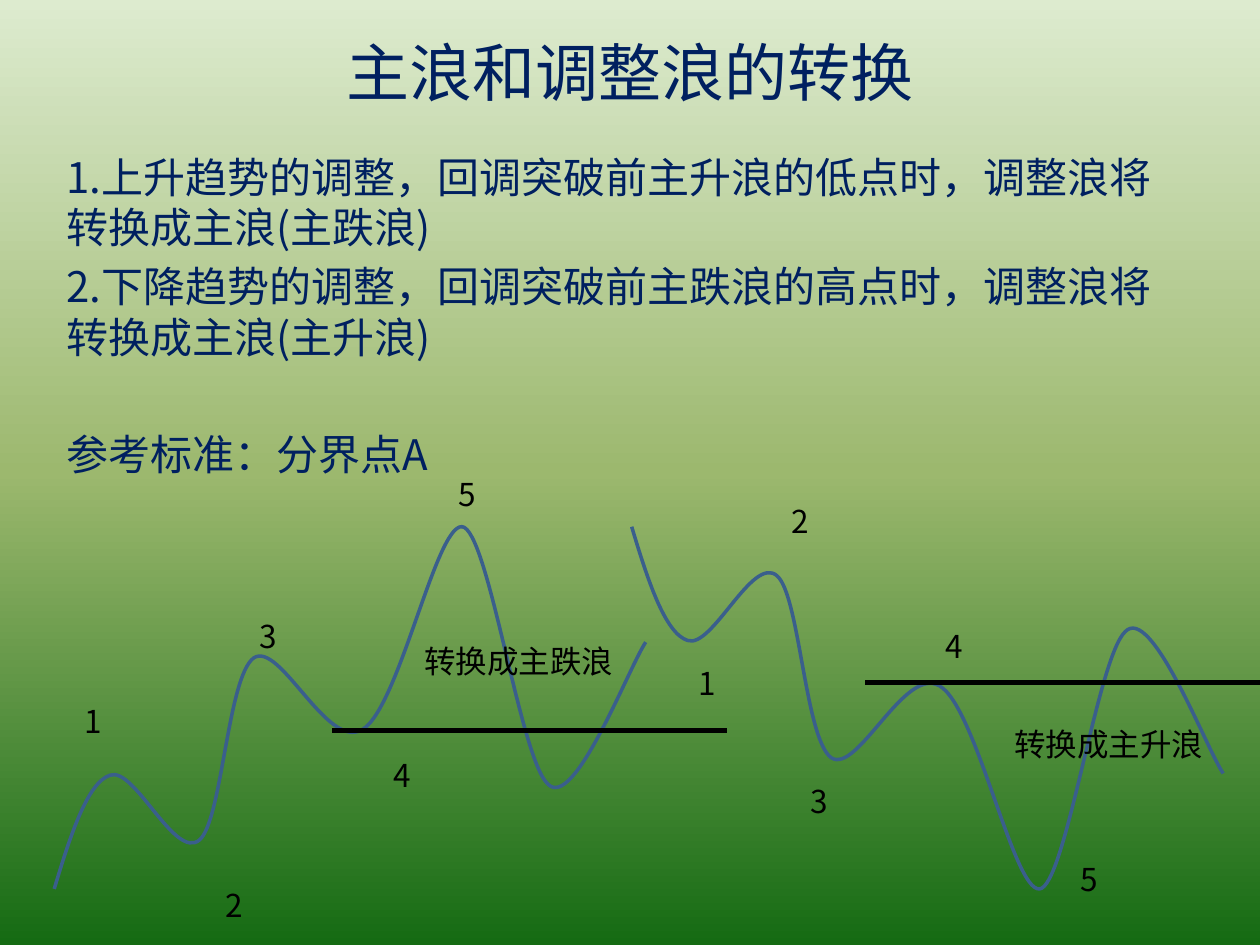
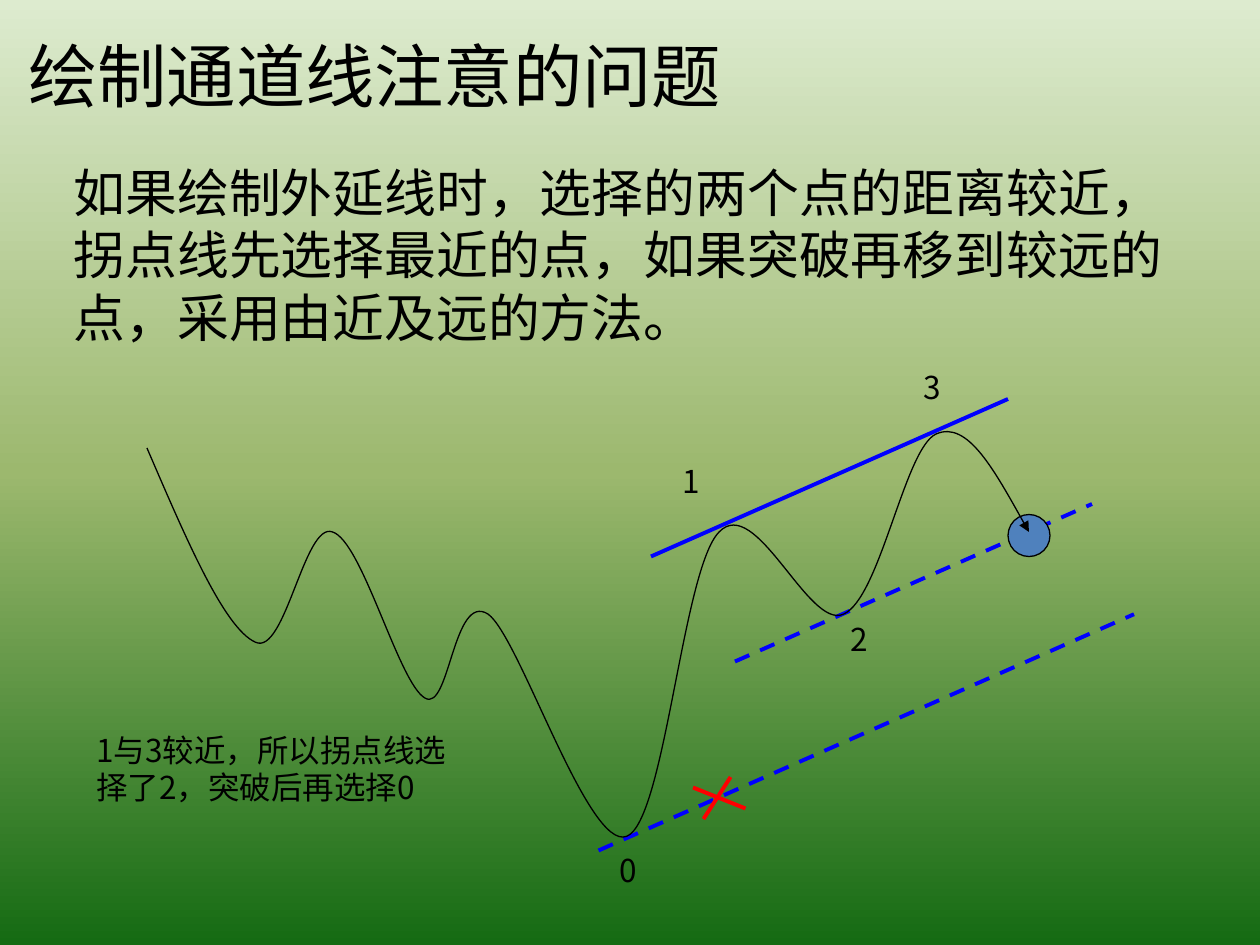
import pptx
import pptx.dml.color
import pptx.enum.dml
import pptx.enum.shapes
import pptx.enum.text
import pptx.oxml.ns
import pptx.util
from lxml import etree

Pt = pptx.util.Pt
qn = pptx.oxml.ns.qn
RGB = pptx.dml.color.RGBColor.from_string
ALIGN = pptx.enum.text.PP_ALIGN
ANCHOR = pptx.enum.text.MSO_ANCHOR

FONT = "Noto Sans CJK SC"
COLORS = {
    "navy": "002060",
    "black": "000000",
    "wave": "3A5F8C",
    "channel": "0000FF",
    "cross": "FF0000",
    "target": "4F81BD",
}
BACKGROUND_STOPS = [(0, "DDEBCF"), (50, "9CB86E"), (100, "156B13")]


def add_text(slide, box, paragraphs, size=18, color="black", wrap=False,
             align=ALIGN.LEFT, anchor=ANCHOR.TOP):
    """Add a text box; paragraphs is a list of (text, space before in points)."""
    shape = slide.shapes.add_textbox(*[Pt(length) for length in box])
    frame = shape.text_frame
    frame.word_wrap = wrap
    frame.vertical_anchor = anchor
    frame.text = "\n".join(text for text, _ in paragraphs)
    for paragraph, (_, space_before) in zip(frame.paragraphs, paragraphs):
        paragraph.alignment = align
        paragraph.line_spacing = Pt(1.2 * size)
        paragraph.space_before = Pt(space_before)
        for run in paragraph.runs:
            run.font.name = FONT
            run.font.size = Pt(size)
            run.font.color.rgb = RGB(COLORS[color])
            east_asian = etree.SubElement(run.font._element, qn("a:ea"))
            east_asian.set("typeface", FONT)


def add_wave(slide, points, color, width):
    """Draw a Bezier curve: a start point, then three points for each segment."""
    builder = slide.shapes.build_freeform(*points[0], scale=Pt(1))
    builder.add_line_segments(points[1:], close=False)
    shape = builder.convert_to_shape()
    shape.shadow.inherit = False
    shape.fill.background()
    shape.line.color.rgb = RGB(COLORS[color])
    shape.line.width = Pt(width)
    outline = shape._element.find(".//" + qn("a:path"))
    corners = outline.findall(qn("a:lnTo"))
    for start in range(0, len(corners), 3):
        curve = etree.SubElement(outline, qn("a:cubicBezTo"))
        for corner in corners[start:start + 3]:
            curve.append(corner[0])
            outline.remove(corner)
    return shape


presentation = pptx.Presentation()
presentation.slide_width = Pt(720)
presentation.slide_height = Pt(540)

# Both slides share the green gradient
for _ in range(2):
    slide = presentation.slides.add_slide(presentation.slide_layouts[6])
    fill = slide.background.fill
    fill.gradient()
    fill.gradient_angle = 270
    stops = slide._element.find(".//" + qn("a:gsLst"))
    for stop in list(stops):
        stops.remove(stop)
    for position, color in BACKGROUND_STOPS:
        stop = etree.SubElement(stops, qn("a:gs"), pos=str(position * 1000))
        etree.SubElement(stop, qn("a:srgbClr"), val=color)
conversion_slide, channel_slide = presentation.slides

# Slide 1: how a correction turns into a main wave
add_text(conversion_slide, (36, 21.5, 648, 39), [("主浪和调整浪的转换", 0)],
         36, "navy", True, ALIGN.CENTER, ANCHOR.MIDDLE)
add_text(conversion_slide, (31, 83, 658, 209.5), [
    ("1.上升趋势的调整，回调突破前主升浪的低点时，调整浪将转换成主浪(主跌浪)", 0),
    ("2.下降趋势的调整，回调突破前主跌浪的高点时，调整浪将转换成主浪(主升浪)", 4.8),
    ("参考标准：分界点A", 38.4),
], 24, "navy", True)

rising_wave = [
    (31, 508),
    (40, 478), (50, 447), (63, 443),
    (77, 438), (100, 492), (114, 480),
    (127, 469), (130, 387), (145, 376),
    (160, 366), (187, 429), (207, 417),
    (228, 405), (249, 300), (264, 301),
    (279, 302), (297, 433), (313, 448),
    (328, 464), (359, 382), (369, 367),
]
# The falling wave is the rising one, moved right and turned upside down
falling_wave = [(x + 330, 809 - y) for x, y in rising_wave]
for wave in (rising_wave, falling_wave):
    add_wave(conversion_slide, wave, "wave", 2)

rising_labels = [(41, 397.5), (122, 502.5), (141, 349), (218, 428.5), (255, 268)]
falling_labels = [(392, 376), (445, 283.5), (456, 443.5), (533, 355), (610.5, 488)]
for labels in (rising_labels, falling_labels):
    for number, (left, top) in enumerate(labels, 1):
        add_text(conversion_slide, (left, top, 24, 29), [(str(number), 0)])
add_text(conversion_slide, (235.5, 363.5, 124, 29), [("转换成主跌浪", 0)])
add_text(conversion_slide, (572.5, 410.5, 124, 29), [("转换成主升浪", 0)])

# Straight lines: slide, start, end, colour, width, dashed
lines = [
    (conversion_slide, (190, 417.5), (415.5, 417.5), "black", 3, False),
    (conversion_slide, (494.5, 390), (720, 390), "black", 3, False),
    (channel_slide, (372, 318), (576, 228), "channel", 2.25, False),
    (channel_slide, (420, 378), (624, 288), "channel", 2.25, True),
    (channel_slide, (342, 486), (648, 351), "channel", 2.25, True),
    (channel_slide, (417.5, 444), (402, 468), "cross", 2.25, False),
    (channel_slide, (396, 450), (426, 462), "cross", 2.25, False),
]
for slide, start, end, color, width, dashed in lines:
    connector = slide.shapes.add_connector(
        pptx.enum.shapes.MSO_CONNECTOR.STRAIGHT,
        *[Pt(length) for length in start + end])
    connector.line.color.rgb = RGB(COLORS[color])
    connector.line.width = Pt(width)
    if dashed:
        connector.line.dash_style = pptx.enum.dml.MSO_LINE.DASH
    etree.SubElement(connector._element.spPr, qn("a:effectLst"))

# Slide 2: choosing points for channel lines
add_text(channel_slide, (9, 15, 641, 55), [("绘制通道线注意的问题", 0)],
         39.6, wrap=True, anchor=ANCHOR.MIDDLE)
add_text(channel_slide, (35, 88.5, 648, 96.5), [
    ("如果绘制外延线时，选择的两个点的距离较近，拐点线先选择最近的点，"
     "如果突破再移到较远的点，采用由近及远的方法。", 0),
], 29.6, wrap=True)

target = channel_slide.shapes.add_shape(
    pptx.enum.shapes.MSO_SHAPE.OVAL, Pt(576), Pt(294), Pt(24), Pt(24))
target.shadow.inherit = False
target.fill.solid()
target.fill.fore_color.rgb = RGB(COLORS["target"])
target.line.color.rgb = RGB(COLORS["black"])
target.line.width = Pt(0.75)

price_wave = add_wave(channel_slide, [
    (84, 256),
    (106, 307), (128, 359), (146, 367),
    (163, 375), (174, 298), (190, 304),
    (207, 309), (228, 391), (243, 399),
    (257, 407), (259, 338), (279, 351),
    (297, 364), (336, 486), (358, 478),
    (380, 470), (390, 325), (411, 304),
    (432, 282), (462, 360), (482, 351),
    (503, 342), (517, 256), (535, 248),
    (553, 240), (570, 272), (588, 304),
], "black", 0.75)
wave_line = price_wave._element.spPr.find(qn("a:ln"))
etree.SubElement(wave_line, qn("a:tailEnd"), type="triangle")

turning_points = [(347, 483), (383, 260.5), (479, 350.5), (520.5, 206.5)]
for number, (left, top) in enumerate(turning_points):
    add_text(channel_slide, (left, top, 24, 29), [(str(number), 0)])
add_text(channel_slide, (48, 414, 223, 50.5),
         [("1与3较近，所以拐点线选择了2，突破后再选择0", 0)], wrap=True)

presentation.save("out.pptx")
